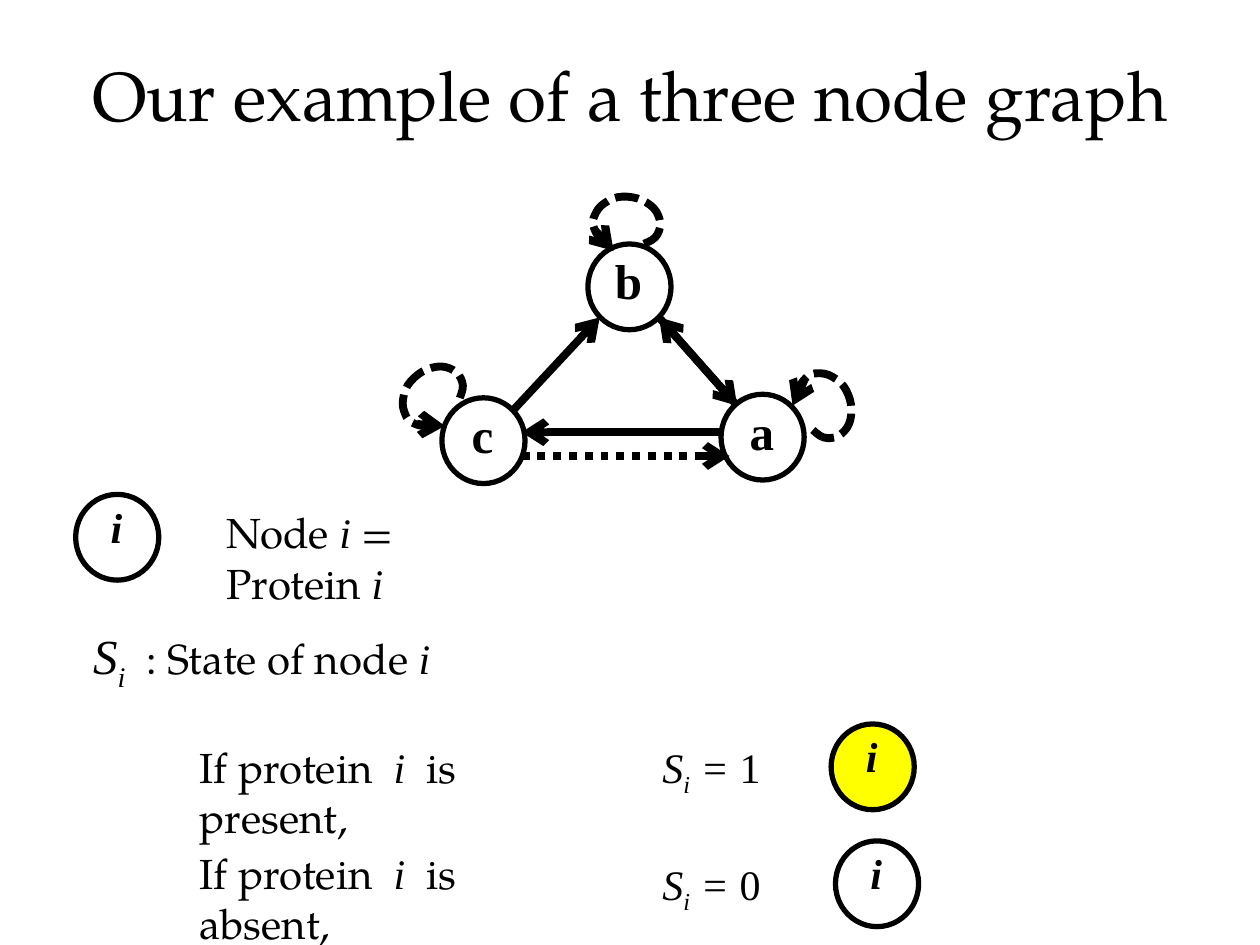
from pptx import Presentation
from pptx.dml.color import RGBColor
from pptx.enum.dml import MSO_LINE_DASH_STYLE as Dash
from pptx.enum.shapes import MSO_CONNECTOR as Connector, MSO_SHAPE as Shape
from pptx.enum.text import MSO_ANCHOR as Anchor, PP_ALIGN as Align
from pptx.oxml.ns import qn
from pptx.util import Pt
from lxml.etree import SubElement

COLORS = {"ink": "000000", "paper": "FFFFFF", "present": "FFFF00"}
BODY, MATH = "TeX Gyre Pagella", "Times New Roman"
VARIABLE = {"font": MATH, "italic": True}
SUBSCRIPT = {**VARIABLE, "subscript": True}

# Self-loop outline around its own centre, from arrow end to tail
LOOP = [(-10.4, 12.6), (-16.2, 8.3), (-19.1, 2.5), (-19.1, -1.8), (-14.8, -9),
        (-5.4, -14), (6.1, -13.3), (15.5, -7.6), (19.1, 1.1), (16.2, 9), (8.3, 13.3)]


def color(name):
    return RGBColor.from_string(COLORS[name])


def add_run(paragraph, text, font=BODY, size=24, bold=False, italic=False, subscript=False):
    run = paragraph.add_run()
    run.text = text
    run.font.name, run.font.size = font, Pt(size)
    run.font.bold, run.font.italic = bold, italic
    run.font.color.rgb = color("ink")
    if subscript:
        run.font._element.set("baseline", "-25000")


def curve_segments(freeform):
    """Turn the straight segments of a freeform into smooth cubic curves."""
    path = next(freeform._element.iter(qn("a:path")))
    points = [(int(pt.get("x")), int(pt.get("y"))) for pt in path.iter(qn("a:pt"))]
    padded = [points[0], *points, points[-1]]
    for segment in path.findall(qn("a:lnTo")):
        path.remove(segment)
    for p, q, r, s in zip(padded, padded[1:], padded[2:], padded[3:]):
        leave = [b + (c - a) / 6 for a, b, c in zip(p, q, r)]
        arrive = [c - (d - b) / 6 for b, c, d in zip(q, r, s)]
        cubic = SubElement(path, qn("a:cubicBezTo"))
        for x, y in (leave, arrive, r):
            SubElement(cubic, qn("a:pt"), x=str(round(x)), y=str(round(y)))


class GraphSlide:
    node_width, node_height = 47.5, 49
    node_line, edge_line = 3, 4.5

    def __init__(self, slide):
        self.shapes = slide.shapes

    def outline(self, line, width, dash=None):
        line.color.rgb = color("ink")
        line.width = Pt(width)
        if dash:
            line.dash_style = dash

    def text(self, left, top, width, height, runs, align=Align.LEFT, anchor=Anchor.TOP,
             wrap=True):
        frame = self.shapes.add_textbox(Pt(left), Pt(top), Pt(width), Pt(height)).text_frame
        frame.word_wrap = wrap
        frame.vertical_anchor = anchor
        frame.paragraphs[0].alignment = align
        for words, style in runs:
            add_run(frame.paragraphs[0], words, **style)

    def node(self, x, y, label, fill=None, size=24, italic=False):
        circle = self.shapes.add_shape(
            Shape.OVAL, Pt(x - self.node_width / 2), Pt(y - self.node_height / 2),
            Pt(self.node_width), Pt(self.node_height))
        circle.shadow.inherit = False
        if fill:
            circle.fill.solid()
            circle.fill.fore_color.rgb = color(fill)
        else:
            circle.fill.background()
        self.outline(circle.line, self.node_line)
        style = {"font": MATH, "size": size, "bold": True, "italic": italic}
        self.text(x - 15.5, y - 24.2, 30, size * 1.2 + 7.2, [(label, style)],
                  Align.CENTER, wrap=False)

    def edge(self, start, end, dash=None):
        arrow = self.shapes.add_connector(Connector.STRAIGHT, *map(Pt, (*start, *end)))
        self.outline(arrow.line, self.edge_line, dash)
        SubElement(arrow.line._get_or_add_ln(), qn("a:tailEnd"), type="arrow")
        SubElement(arrow._element.spPr, qn("a:effectLst"))

    def loop(self, x, y, angle, arrow_start, arrow_end):
        first, *rest = [(Pt(x + dx), Pt(y + dy)) for dx, dy in LOOP]
        builder = self.shapes.build_freeform(*first, scale=1.0)
        builder.add_line_segments(rest, close=False)
        curve = builder.convert_to_shape()
        curve_segments(curve)
        curve.shadow.inherit = False
        curve.fill.background()
        curve.rotation = angle
        self.outline(curve.line, self.edge_line, Dash.SQUARE_DOT)
        curve.line._get_or_add_ln().find(qn("a:prstDash")).set("val", "sysDash")
        self.edge(arrow_start, arrow_end)


def main():
    deck = Presentation()
    deck.slide_width, deck.slide_height = Pt(720), Pt(540)
    graph = GraphSlide(deck.slides.add_slide(deck.slide_layouts[6]))

    # Title
    graph.text(36, 8.6, 648, 90, [("Our example of a three node graph", {"size": 39.6})],
               Align.CENTER, Anchor.MIDDLE)

    # Nodes of the graph
    graph.node(435.8, 249.8, "a", size=28)
    graph.node(359.7, 163.9, "b", size=28)
    graph.node(276.3, 251.8, "c", fill="paper", size=28)

    # Edges between nodes
    a_side, b_side = (421.2, 231.8), (376.6, 181.4)
    graph.edge(a_side, b_side)
    graph.edge(b_side, a_side)
    graph.edge((412.6, 247), (298.1, 247))
    graph.edge((298.1, 260.6), (416.9, 260.6), Dash.ROUND_DOT)
    graph.edge((293, 234.7), (342.7, 181.4))

    # Self-loops of a, b and c
    graph.loop(472, 231.7, 64.6, (457.9, 221), (452.9, 231.8))
    graph.loop(358.2, 126.7, 0, (342.7, 134.6), (350.6, 143.3))
    graph.loop(246.6, 226, 313.4, (241.9, 242.6), (254.2, 243.4))

    # Legend
    graph.node(67, 307, "i", italic=True)
    graph.text(122.4, 286, 188, 36,
               [("Node ", {}), ("i", VARIABLE), (" = Protein ", {}), ("i", VARIABLE)])
    graph.text(46.1, 354.2, 209, 41,
               [("S", {**VARIABLE, "size": 28}), ("i", {**SUBSCRIPT, "size": 28}),
                ("  ", VARIABLE), (": State of node ", {}), ("i", VARIABLE)])

    # Node states
    states = [("present", "1", "present", 237, 420.1, 420.1, 498.7, 438.2),
              ("absent", "0", None, 228, 480.7, 487, 501.2, 505)]
    for state, value, fill, width, text_top, value_top, x, y in states:
        graph.text(106.9, text_top, width, 36,
                   [("If protein  ", {}), ("i ", VARIABLE), (f" is {state},", {})])
        graph.text(371.5, value_top, 75, 36,
                   [("S", VARIABLE), ("i", SUBSCRIPT), (" = ", VARIABLE),
                    (value, {"font": MATH})])
        graph.node(x, y, "i", fill=fill, italic=True)

    deck.save("out.pptx")


if __name__ == "__main__":
    main()
